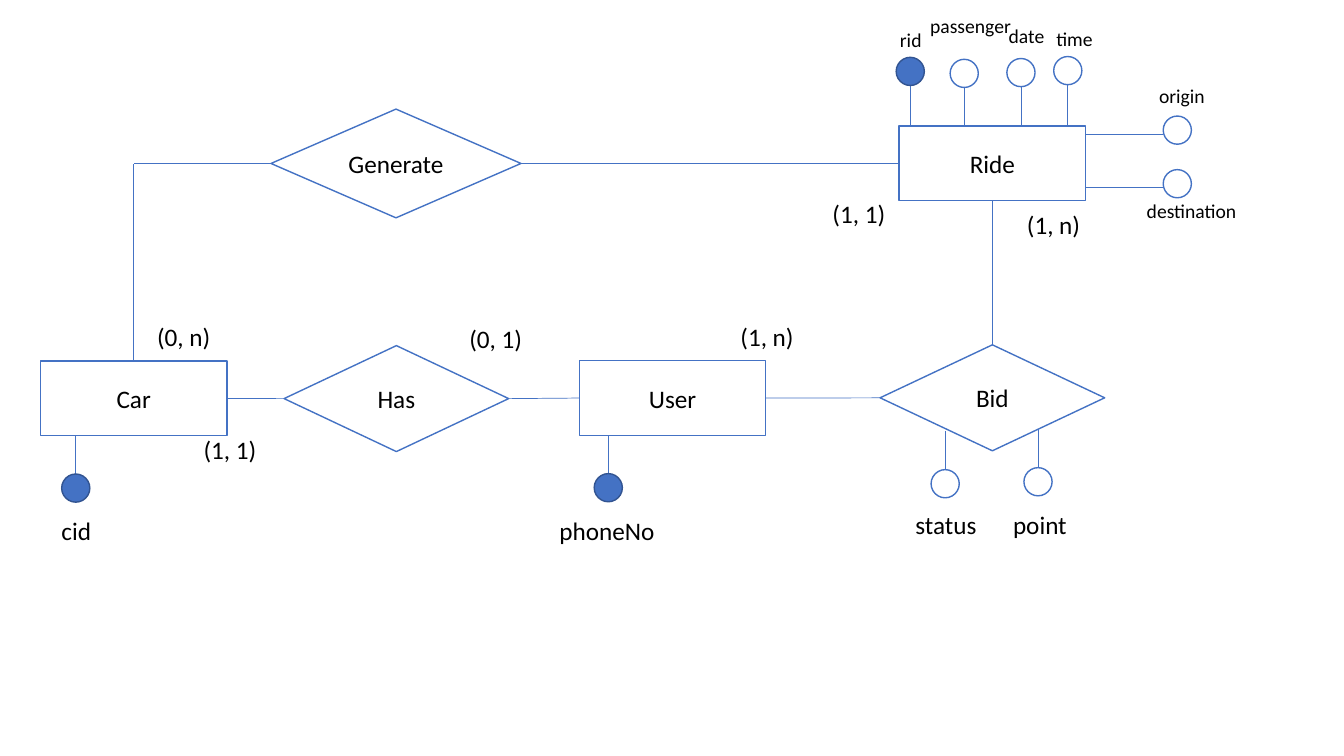
from lxml.etree import SubElement
from pptx import Presentation
from pptx.dml.color import RGBColor
from pptx.enum.shapes import MSO_CONNECTOR as Connector, MSO_SHAPE as Preset
from pptx.enum.text import MSO_ANCHOR as Anchor, PP_ALIGN as Align
from pptx.oxml.ns import qn
from pptx.util import Cm, Pt

BLUE, DARK_BLUE, WHITE, BLACK = "4472C4", "325491", "FFFFFF", "000000"
ENTITY_SIZE = (4.7, 1.88)
RELATION_SIZE = (5.66, 2.67)
CIRCLE = 0.71
TOP, LEFT, BOTTOM, RIGHT = range(4)


def color(value):
    """Turn a hex string into a colour."""
    return RGBColor.from_string(value)


def write(frame, text, size=18, align=Align.LEFT, anchor=Anchor.TOP):
    """Write one formatted paragraph into a text frame."""
    frame.word_wrap = True
    frame.vertical_anchor = anchor
    paragraph = frame.paragraphs[0]
    paragraph.alignment = align
    run = paragraph.add_run()
    run.text = text
    run.font.name = "Calibri"
    run.font.size = Pt(size)
    run.font.color.rgb = color(BLACK)


def add_preset(slide, preset, box, fill=WHITE, outline=BLUE):
    """Add a flat outlined shape in a box given in centimetres."""
    shape = slide.shapes.add_shape(preset, *map(Cm, box))
    shape.shadow.inherit = False
    shape.fill.solid()
    shape.fill.fore_color.rgb = color(fill)
    shape.line.color.rgb = color(outline)
    shape.line.width = Pt(1)
    return shape


def add_node(slide, preset, name, box):
    """Add a named entity or relationship."""
    shape = add_preset(slide, preset, box)
    write(shape.text_frame, name, align=Align.CENTER, anchor=Anchor.MIDDLE)
    return shape


def add_label(slide, text, origin, offset, width=2.21, size=18):
    """Add a label at an offset from an origin."""
    left, top = origin[0] + offset[0], origin[1] + offset[1]
    height = 1.02 if size == 18 else 0.86
    box = slide.shapes.add_textbox(*map(Cm, (left, top, width, height)))
    write(box.text_frame, text, size=size)


def add_line(slide, start=(0, 0), end=(0, 0)):
    """Add a thin straight line between two points in centimetres."""
    line = slide.shapes.add_connector(Connector.STRAIGHT, *map(Cm, (*start, *end)))
    line.line.color.rgb = color(BLUE)
    line.line.width = Pt(0.5)
    SubElement(line._element.spPr, qn("a:effectLst"))
    return line


def link(slide, first, first_side, second, second_side):
    """Join the sides of two nodes."""
    line = add_line(slide)
    line.begin_connect(first, first_side)
    line.end_connect(second, second_side)


def add_attribute(slide, origin, name, start, center, label, width, key=False, size=18):
    """Add an attribute circle with its stem and label, relative to an origin."""
    left, top = origin
    (start_x, start_y), (x, y) = start, center
    radius = CIRCLE / 2
    if start_x == x:
        end = (x, y - radius if y > start_y else y + radius)
    else:
        end = (x - radius, start_y)
    add_line(slide, (left + start_x, top + start_y), (left + end[0], top + end[1]))
    box = (left + x - radius, top + y - radius, CIRCLE, CIRCLE)
    fill, outline = (BLUE, DARK_BLUE) if key else (WHITE, BLUE)
    add_preset(slide, Preset.OVAL, box, fill, outline)
    add_label(slide, name, origin, label, width, size)


def add_car(slide, box):
    """Add the Car entity with its key and cardinalities."""
    origin, height = box[:2], box[3]
    car = add_node(slide, Preset.RECTANGLE, "Car", box)
    add_attribute(slide, origin, "cid", (0.89, height), (0.89, 3.2), (0.28, 3.76), 1.4, key=True)
    add_label(slide, "(0, n)", origin, (2.69, -1.14))
    add_label(slide, "(1, 1)", origin, (3.86, 1.73))
    return car


def add_user(slide, box):
    """Add the User entity with its key and cardinalities."""
    origin, height = box[:2], box[3]
    user = add_node(slide, Preset.RECTANGLE, "User", box)
    add_attribute(slide, origin, "phoneNo", (0.73, height), (0.73, 3.2), (-0.4 * height, 3.78),
                  2.92, key=True)
    add_label(slide, "(0, 1)", origin, (-3.02, -1.07))
    add_label(slide, "(1, n)", origin, (3.81, -1.12))
    return user


def add_ride(slide, box):
    """Add the Ride entity with its attributes and cardinalities."""
    origin, width = box[:2], box[2]
    ride = add_node(slide, Preset.RECTANGLE, "Ride", box)
    attributes = [
        ("rid", (0.28, 0), (0.28, -1.38), (-0.23, -2.59), 1.4),
        ("passenger", (1.64, 0), (1.64, -1.33), (0.53, -2.95), 2.87),
        ("date", (3.07, 0), (3.07, -1.35), (2.51, -2.69), 1.42),
        ("time", (4.25, 0), (4.25, -1.4), (3.71, -2.62), 1.42),
        ("origin", (width, 0.2), (7.01, 0.1), (6.3, -1.19), 1.7),
        ("destination", (width, 1.53), (7.01, 1.45), (5.99, 1.7), 3.05),
    ]
    for name, *places in attributes:
        add_attribute(slide, origin, name, *places, key=name == "rid", size=14)
    add_label(slide, "(1, 1)", origin, (-1.93, 1.7))
    add_label(slide, "(1, n)", origin, (2.97, 1.96))
    return ride


def add_bid(slide, box):
    """Add the Bid relationship with its attributes."""
    origin = box[:2]
    bid = add_node(slide, Preset.DIAMOND, "Bid", box)
    add_attribute(slide, origin, "status", (1.64, 2.18), (1.64, 3.5), (0.64, 4.01), 2.11)
    add_attribute(slide, origin, "point", (3.98, 2.13), (3.98, 3.45), (3.1, 4.01), 2.08)
    return bid


def add_diagram(slide, box):
    """Add the whole entity-relationship diagram inside a box."""
    left, top = box[:2]
    car_left, car_top = left + 1.02, top + 9.1
    generate_left, generate_top, generate_height = left + 6.83, top + 2.75, 2.74
    car = add_car(slide, (car_left, car_top, *ENTITY_SIZE))
    user = add_user(slide, (left + 14.6, top + 9.09, *ENTITY_SIZE))
    ride = add_ride(slide, (left + 22.66, top + 3.18, *ENTITY_SIZE))
    has = add_node(slide, Preset.DIAMOND, "Has", (left + 7.16, top + 8.71, *RELATION_SIZE))
    generate = add_node(slide, Preset.DIAMOND, "Generate",
                        (generate_left, generate_top, 6.3, generate_height))
    bid = add_bid(slide, (left + 22.18, top + 8.69, *RELATION_SIZE))
    link(slide, car, RIGHT, has, LEFT)
    link(slide, has, RIGHT, user, LEFT)
    link(slide, user, RIGHT, bid, LEFT)
    link(slide, bid, TOP, ride, BOTTOM)
    link(slide, generate, RIGHT, ride, LEFT)
    corner = (car_left + ENTITY_SIZE[0] / 2, generate_top + generate_height / 2)
    add_line(slide, (corner[0], car_top), corner)
    add_line(slide, (generate_left, corner[1]), corner)


def main():
    """Build and save the presentation."""
    presentation = Presentation()
    presentation.slide_width, presentation.slide_height = Cm(33.87), Cm(19.05)
    slide = presentation.slides.add_slide(presentation.slide_layouts[6])
    add_diagram(slide, (0, 0, 33.87, 19.05))
    presentation.save("out.pptx")


main()
